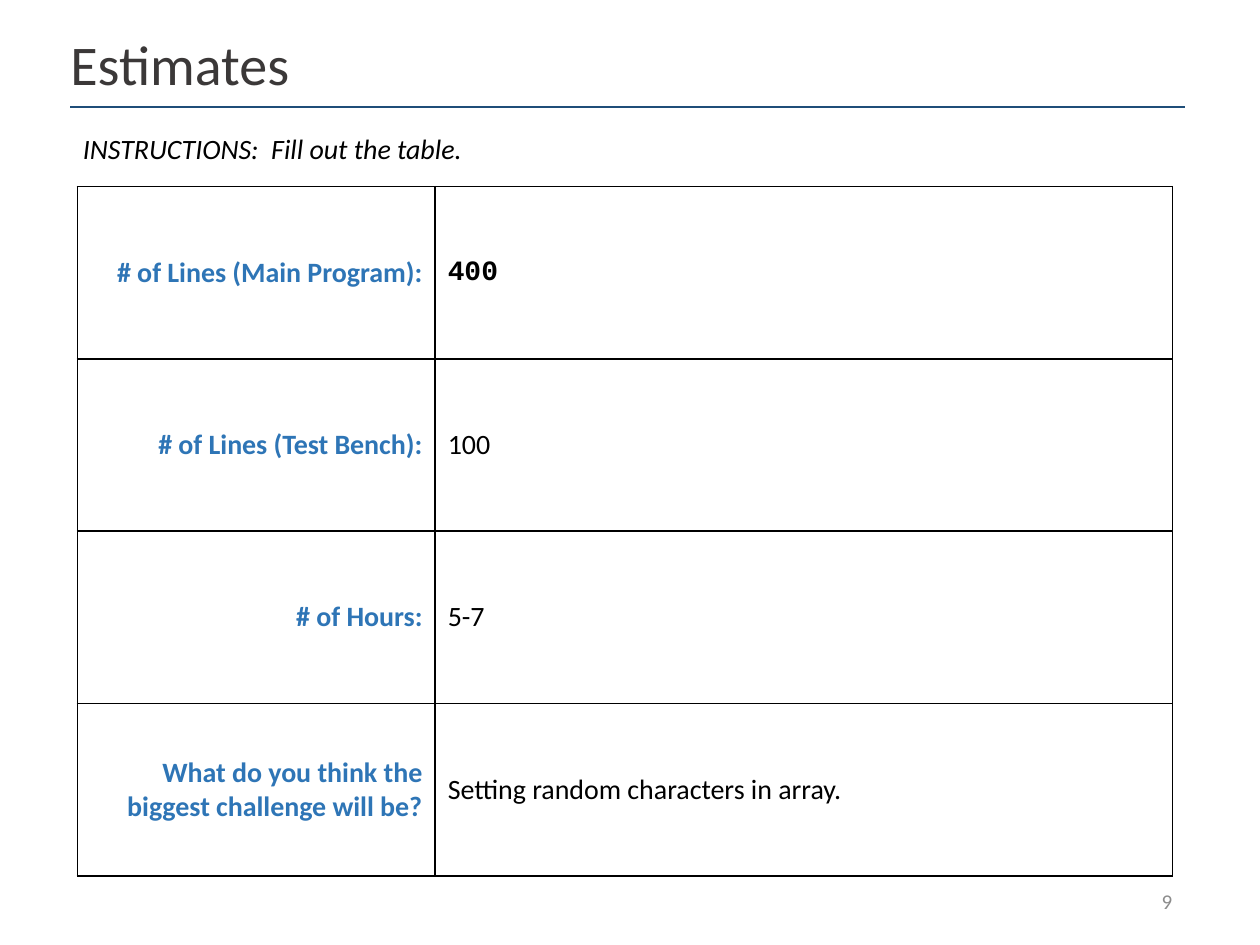
import lxml.etree
import pptx
import pptx.dml.color
import pptx.enum.shapes
import pptx.enum.text
import pptx.oxml.ns
import pptx.util

Pt = pptx.util.Pt
RGBColor = pptx.dml.color.RGBColor
ALIGN = pptx.enum.text.PP_ALIGN
ANCHOR = pptx.enum.text.MSO_ANCHOR
qn = pptx.oxml.ns.qn

NAVY = RGBColor(0x1F, 0x4E, 0x79)
BLUE = RGBColor(0x2E, 0x75, 0xB6)
CHARCOAL = RGBColor(0x3B, 0x38, 0x38)
GRAY = RGBColor(0x8C, 0x8C, 0x8C)
BLACK = RGBColor(0, 0, 0)

BODY_FONT = {"name": "Calibri", "size": Pt(16)}
LABEL_FONT = {**BODY_FONT, "bold": True}
CODE_FONT = {**LABEL_FONT, "name": "Courier New"}

ESTIMATES = [
    ("# of Lines (Main Program):", "400", CODE_FONT),
    ("# of Lines (Test Bench):", "100", BODY_FONT),
    ("# of Hours:", "5-7", BODY_FONT),
    ("What do you think the biggest challenge will be?",
     "Setting random characters in array.", BODY_FONT),
]


def write(paragraph, text, color, font, layout):
    """Put one formatted run in a paragraph."""
    run = paragraph.add_run()
    run.text = text
    run.font.color.rgb = color
    for target, values in ((run.font, font), (paragraph, layout)):
        for name, value in values.items():
            setattr(target, name, value)


def add_text(slide, box, text, color, font, layout, anchor=ANCHOR.MIDDLE):
    shape = slide.shapes.add_textbox(*map(Pt, box))
    frame = shape.text_frame
    frame.word_wrap = True
    frame.vertical_anchor = anchor
    write(frame.paragraphs[0], text, color, font, layout)


def add_header(slide, box, title):
    """Title with a rule along the bottom of the box."""
    left, top, width, height = box
    add_text(slide, box, title, CHARCOAL,
             {"name": "Calibri", "size": Pt(32)}, {"line_spacing": 0.9})
    rule_y = Pt(top + height + 0.6)
    rule = slide.shapes.add_connector(
        pptx.enum.shapes.MSO_CONNECTOR.STRAIGHT,
        Pt(left + 7.2), rule_y, Pt(left + width), rule_y)
    rule.line.color.rgb = NAVY
    rule.line.width = Pt(1)
    lxml.etree.SubElement(rule._element.spPr, qn("a:effectLst"))


def add_borders(cell, color, width):
    properties = cell._tc.get_or_add_tcPr()
    for index, side in enumerate(("a:lnL", "a:lnR", "a:lnT", "a:lnB")):
        line = lxml.etree.Element(qn(side), w=str(Pt(width)))
        fill = lxml.etree.SubElement(line, qn("a:solidFill"))
        lxml.etree.SubElement(fill, qn("a:srgbClr"), val=str(color))
        properties.insert(index, line)


def add_estimates_table(slide, box, label_width):
    """Labels on the left, answers on the right, rows of equal height."""
    left, top, width, height = box
    table = slide.shapes.add_table(len(ESTIMATES), 2, *map(Pt, box)).table
    table.first_row = table.horz_banding = False
    table.columns[0].width = Pt(label_width)
    table.columns[1].width = Pt(width - label_width)
    for row, (label, answer, answer_font) in enumerate(ESTIMATES):
        table.rows[row].height = Pt(height / len(ESTIMATES))
        contents = [(label, BLUE, LABEL_FONT, ALIGN.RIGHT),
                    (answer, BLACK, answer_font, ALIGN.LEFT)]
        for column, (text, color, font, alignment) in enumerate(contents):
            cell = table.cell(row, column)
            cell.fill.background()
            cell.vertical_anchor = ANCHOR.MIDDLE
            add_borders(cell, BLACK, 1)
            write(cell.text_frame.paragraphs[0], text, color, font,
                  {"alignment": alignment})


def main():
    presentation = pptx.Presentation()
    presentation.slide_width, presentation.slide_height = Pt(720), Pt(540)
    slide = presentation.slides.add_slide(presentation.slide_layouts[6])

    # Title and rule
    add_header(slide, (33.1, 16.6, 644, 44), "Estimates")

    # Page number
    add_text(slide, (515, 500.4, 162, 28.8), "9", GRAY,
             {"name": "Calibri", "size": Pt(12)}, {"alignment": ALIGN.RIGHT})

    # Instructions
    add_text(slide, (40.3, 67.7, 637, 44), "INSTRUCTIONS:  Fill out the table.",
             BLACK, {**BODY_FONT, "italic": True},
             {"line_spacing": 1.2, "space_before": Pt(10)}, ANCHOR.TOP)

    # Estimates table
    add_estimates_table(slide, (44.2, 106.6, 625.7, 394), 204.5)

    presentation.save("out.pptx")


if __name__ == "__main__":
    main()
